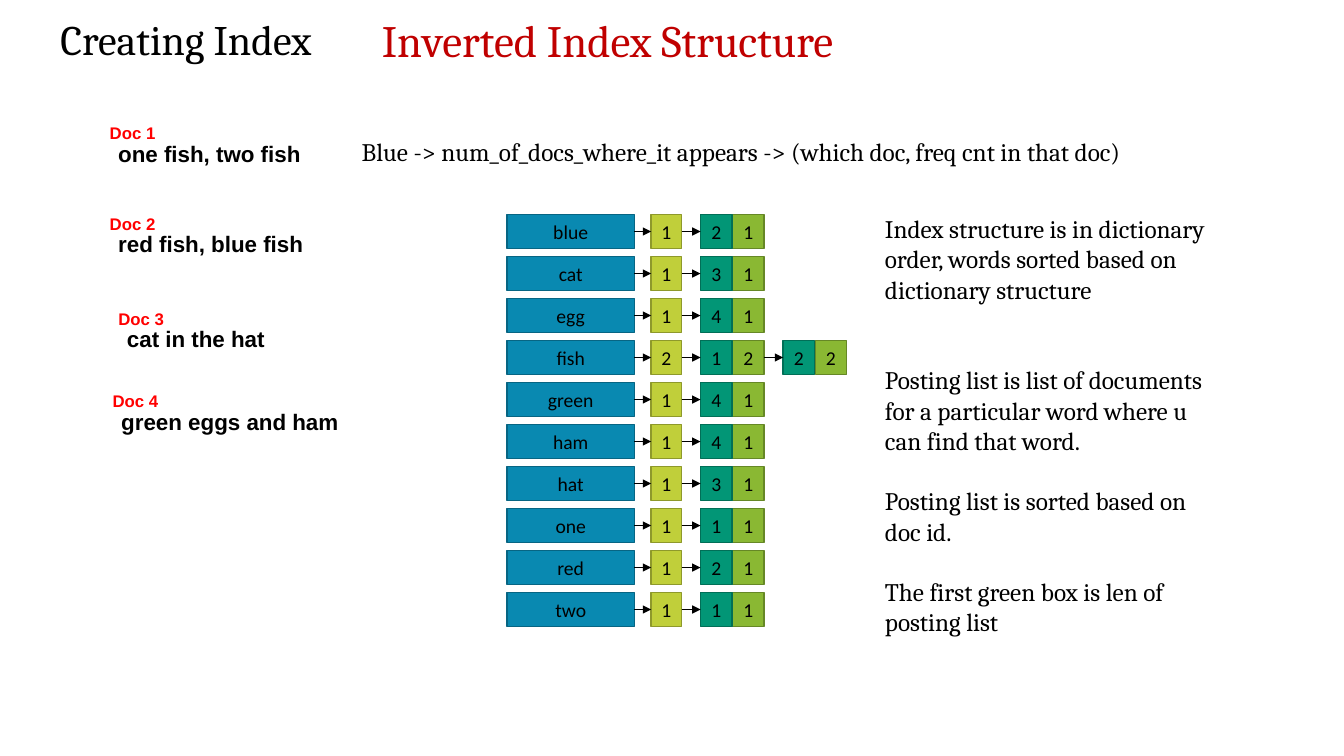
from dataclasses import dataclass

from lxml.etree import SubElement
from pptx import Presentation
from pptx.dml.color import RGBColor
from pptx.enum.shapes import MSO_CONNECTOR, MSO_SHAPE
from pptx.enum.text import MSO_ANCHOR, MSO_AUTO_SIZE, PP_ALIGN
from pptx.oxml.ns import qn
from pptx.shapes.autoshape import Shape
from pptx.shapes.shapetree import GroupShapes, SlideShapes
from pptx.slide import Slide
from pptx.text.text import TextFrame
from pptx.util import Pt

BLACK = RGBColor(0x00, 0x00, 0x00)
RED = RGBColor(0xFF, 0x00, 0x00)
DARK_RED = RGBColor(0xC0, 0x00, 0x00)
BLUE = RGBColor(0x09, 0x89, 0xB1)
BLUE_EDGE = RGBColor(0x07, 0x65, 0x83)
YELLOW = RGBColor(0xC0, 0xCF, 0x3A)
YELLOW_EDGE = RGBColor(0x8E, 0x99, 0x2B)
TEAL = RGBColor(0x02, 0x96, 0x76)
TEAL_EDGE = RGBColor(0x01, 0x6F, 0x57)
GREEN = RGBColor(0x8A, 0xB8, 0x33)
GREEN_EDGE = RGBColor(0x66, 0x88, 0x26)

ROW_TOP, ROW_STEP, ROW_HEIGHT = 153.4, 30, 24
POSTING_STEP = 59


@dataclass(frozen=True)
class Cell:
    left: float
    width: float
    fill: RGBColor
    edge: RGBColor


@dataclass(frozen=True)
class Entry:
    term: str
    postings: tuple[tuple[int, int], ...]


@dataclass(frozen=True)
class Doc:
    name: str
    content: str
    left: float
    top: float
    width: float


@dataclass(frozen=True)
class Note:
    text: str
    space_before: float


TERM = Cell(362.2, 90.9, BLUE, BLUE_EDGE)
COUNT = Cell(465.1, 21.8, YELLOW, YELLOW_EDGE)
DOC_ID = Cell(500.4, 22.5, TEAL, TEAL_EDGE)
FREQUENCY = Cell(523.4, 22.3, GREEN, GREEN_EDGE)

ENTRIES = [
    Entry("blue", ((2, 1),)),
    Entry("cat", ((3, 1),)),
    Entry("egg", ((4, 1),)),
    Entry("fish", ((1, 2), (2, 2))),
    Entry("green", ((4, 1),)),
    Entry("ham", ((4, 1),)),
    Entry("hat", ((3, 1),)),
    Entry("one", ((1, 1),)),
    Entry("red", ((2, 1),)),
    Entry("two", ((1, 1),)),
]

DOCS = [
    Doc("Doc 1", "one fish, two fish", 71.3, 84.2, 147),
    Doc("Doc 2", "red fish, blue fish", 71.3, 149, 148.3),
    Doc("Doc 3", "cat in the hat", 77.5, 216.7, 114.5),
    Doc("Doc 4", "green eggs and ham", 73.4, 275.8, 171.4),
]

NOTES = [
    Note("Index structure is in dictionary order, words sorted based on dictionary structure", 0),
    Note("Posting list is list of documents for a particular word where u can find that word.", 43.2),
    Note("Posting list is sorted based on doc id.", 21.6),
    Note("The first green box is len of posting list", 21.6),
]


def write(tf: TextFrame, text: str, *, size: float, font: str = "Cambria",
          color: RGBColor = BLACK, bold: bool = False,
          align: PP_ALIGN = PP_ALIGN.LEFT, space_before: float = 0) -> None:
    p = tf.paragraphs[0]
    if p.runs:
        p = tf.add_paragraph()
    p.alignment = align
    p.space_before = Pt(space_before)
    r = p.add_run()
    r.text = text
    r.font.size = Pt(size)
    r.font.name = font
    r.font.bold = bold
    r.font.color.rgb = color


def add_text_box(shapes: SlideShapes | GroupShapes, left: float, top: float,
                 width: float, height: float, wrap: bool = False) -> TextFrame:
    tf = shapes.add_textbox(Pt(left), Pt(top), Pt(width), Pt(height)).text_frame
    tf.word_wrap = wrap
    tf.auto_size = MSO_AUTO_SIZE.SHAPE_TO_FIT_TEXT
    return tf


def add_cell(s: Slide, cell: Cell, top: float, text: str, shift: float = 0) -> Shape:
    sp = s.shapes.add_shape(MSO_SHAPE.RECTANGLE, Pt(cell.left + shift), Pt(top),
                            Pt(cell.width), Pt(ROW_HEIGHT))
    sp.shadow.inherit = False
    sp.fill.solid()
    sp.fill.fore_color.rgb = cell.fill
    sp.line.color.rgb = cell.edge
    sp.line.width = Pt(1)
    tf = sp.text_frame
    tf.word_wrap = False
    tf.vertical_anchor = MSO_ANCHOR.MIDDLE
    write(tf, text, size=14, font="Calibri", align=PP_ALIGN.CENTER)
    return sp


def add_arrow(s: Slide, start: Shape, end: Shape) -> None:
    arrow = s.shapes.add_connector(MSO_CONNECTOR.STRAIGHT, 0, 0, 0, 0)
    arrow.begin_connect(start, 3)
    arrow.end_connect(end, 1)
    arrow.line.color.rgb = BLACK
    arrow.line.width = Pt(0.5)
    SubElement(arrow.line._get_or_add_ln(), qn("a:tailEnd"), type="triangle")
    SubElement(arrow._element.spPr, qn("a:effectLst"))


def add_entry(s: Slide, entry: Entry, top: float) -> None:
    term = add_cell(s, TERM, top, entry.term)
    previous = add_cell(s, COUNT, top, str(len(entry.postings)))
    add_arrow(s, term, previous)
    for i, (doc_id, frequency) in enumerate(entry.postings):
        shift = i * POSTING_STEP
        freq_cell = add_cell(s, FREQUENCY, top, str(frequency), shift)
        id_cell = add_cell(s, DOC_ID, top, str(doc_id), shift)
        add_arrow(s, previous, id_cell)
        previous = freq_cell


def add_doc(s: Slide, doc: Doc) -> None:
    shapes = s.shapes.add_group_shape().shapes
    write(add_text_box(shapes, doc.left + 6.1, doc.top + 12.2, doc.width, 26.6),
          doc.content, size=16, font="Arial", bold=True)
    write(add_text_box(shapes, doc.left, doc.top, 47.5, 21.6),
          doc.name, size=12, font="Arial", bold=True, color=RED)


def main() -> None:
    prs = Presentation()
    prs.slide_width, prs.slide_height = Pt(960), Pt(540)
    s = prs.slides.add_slide(prs.slide_layouts[6])

    for row, entry in enumerate(ENTRIES):
        add_entry(s, entry, ROW_TOP + row * ROW_STEP)
    for doc in DOCS:
        add_doc(s, doc)

    write(add_text_box(s.shapes, 36, 6.5, 226, 44), "Creating Index", size=30)
    write(add_text_box(s.shapes, 265.7, 5.8, 399, 46), "Inverted Index Structure",
          size=32, color=DARK_RED)
    write(add_text_box(s.shapes, 251.3, 93.6, 658, 29, wrap=True),
          "Blue -> num_of_docs_where_it appears -> (which doc, freq cnt in that doc)", size=18)
    notes = add_text_box(s.shapes, 625, 149, 251.3, 356.4, wrap=True)
    for note in NOTES:
        write(notes, note.text, size=18, space_before=note.space_before)

    prs.save("out.pptx")


if __name__ == "__main__":
    main()
